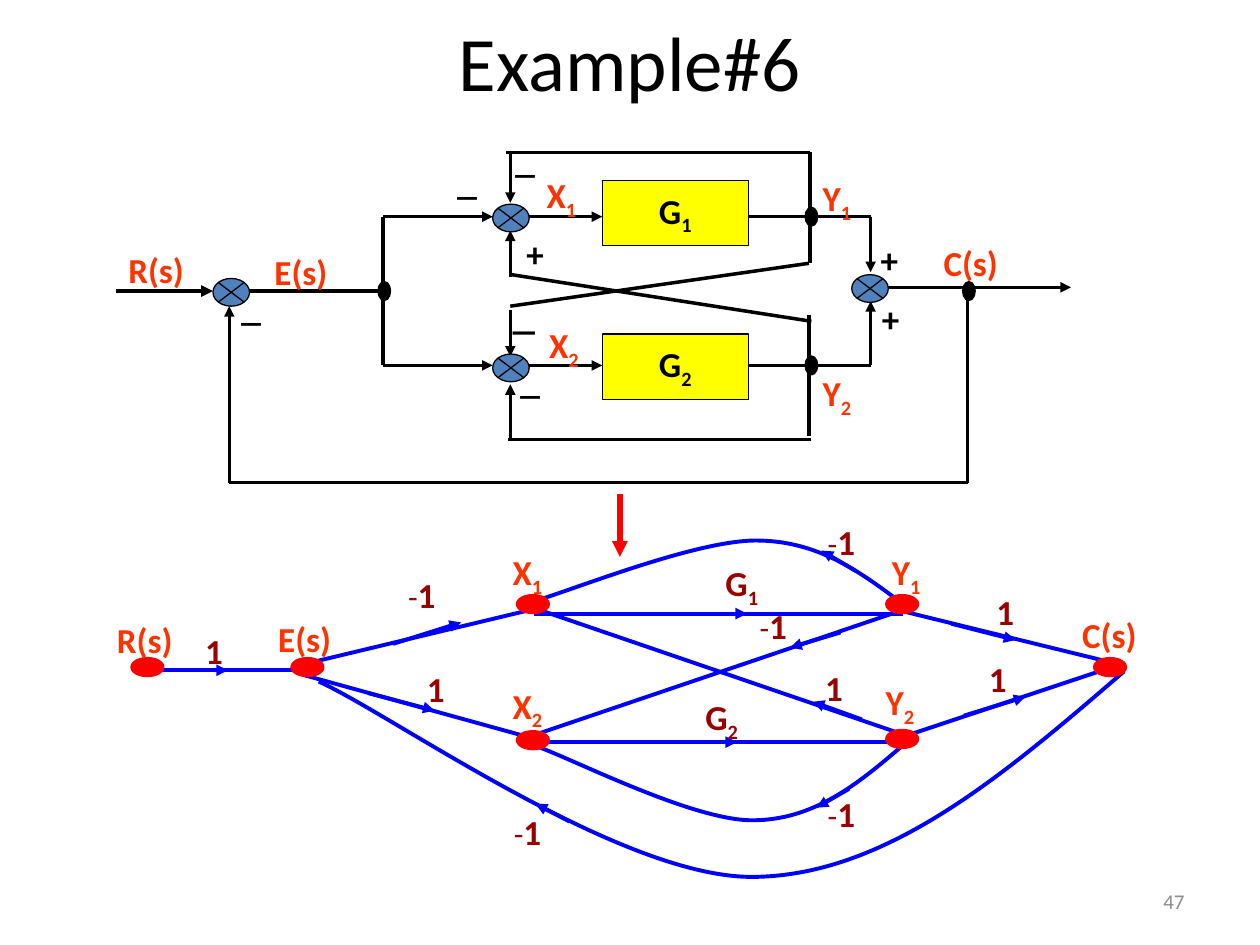
import dataclasses

import lxml.etree
import pptx
import pptx.dml.color
import pptx.enum.shapes
import pptx.enum.text
import pptx.oxml.ns
import pptx.util

SHAPE = pptx.enum.shapes.MSO_SHAPE
ALIGN = pptx.enum.text.PP_ALIGN
BLACK, BLUE, RED = "000000", "0000FF", "FF0000"
SIGNAL, GAIN = "FF3300", "990000"
qn = pptx.oxml.ns.qn


@dataclasses.dataclass
class Grid:
    """A box on the slide, in inches, divided into columns and rows."""
    slide: object
    left: float
    top: float
    width: float
    height: float
    columns: int
    rows: int

    def point(self, column, row):
        return (pptx.util.Inches(self.left + column * self.width / self.columns),
                pptx.util.Inches(self.top + row * self.height / self.rows))

    def size(self, columns, rows):
        return (pptx.util.Inches(columns * self.width / self.columns),
                pptx.util.Inches(rows * self.height / self.rows))


def color(value):
    return pptx.dml.color.RGBColor.from_string(value)


def sub(letter, index):
    return [(letter, {}), (index, {"baseline": "-25000"})]


def write(shape, runs, size=20, fill=BLACK, bold=True, align=ALIGN.LEFT, wrap=False, middle=False):
    frame = shape.text_frame
    frame.word_wrap = wrap
    anchor = pptx.enum.text.MSO_ANCHOR
    frame.vertical_anchor = anchor.MIDDLE if middle else anchor.TOP
    paragraph = frame.paragraphs[0]
    paragraph.alignment = align
    for text, change in [(runs, {})] if isinstance(runs, str) else runs:
        run = paragraph.add_run()
        run.text = text
        run.font.name = "Calibri"
        run.font.size = pptx.util.Pt(change.get("size", size))
        run.font.bold = change.get("bold", bold)
        run.font.color.rgb = color(fill)
        if "baseline" in change:
            run.font._element.set("baseline", change["baseline"])


def add_text(grid, runs, position, extent=(4.9, 4.3), **style):
    box = grid.slide.shapes.add_textbox(*grid.point(*position), *grid.size(*extent))
    write(box, runs, **style)


def add_line(grid, start, end, stroke=BLACK, width=2, arrow=False):
    line = grid.slide.shapes.add_connector(
        pptx.enum.shapes.MSO_CONNECTOR.STRAIGHT, *grid.point(*start), *grid.point(*end))
    line.line.color.rgb = color(stroke)
    line.line.width = pptx.util.Pt(width)
    if arrow:
        lxml.etree.SubElement(line.line._get_or_add_ln(), qn("a:tailEnd"), type="triangle")
    lxml.etree.SubElement(line._element.spPr, qn("a:effectLst"))


def add_shape(grid, kind, center, extent, fill, stroke=BLACK, width=0.75):
    corner = [middle - length / 2 for middle, length in zip(center, extent)]
    shape = grid.slide.shapes.add_shape(kind, *grid.point(*corner), *grid.size(*extent))
    shape.shadow.inherit = False
    shape.fill.solid()
    shape.fill.fore_color.rgb = color(fill)
    shape.line.color.rgb = color(stroke)
    shape.line.width = pptx.util.Pt(width)
    return shape


def add_curve(grid, points):
    """Draw Bezier segments: a start, then three points for each segment."""
    places = [grid.point(*point) for point in points]
    builder = grid.slide.shapes.build_freeform(*places[0])
    builder.add_line_segments(places[1:], close=False)
    curve = builder.convert_to_shape()
    outline = next(curve._element.iter(qn("a:path")))
    steps = outline.findall(qn("a:lnTo"))
    for first in range(0, len(steps), 3):
        bezier = lxml.etree.SubElement(outline, qn("a:cubicBezTo"))
        for step in steps[first:first + 3]:
            bezier.append(step[0])
            outline.remove(step)
    curve.shadow.inherit = False
    curve.fill.background()
    curve.line.color.rgb = color(BLUE)
    curve.line.width = pptx.util.Pt(2.25)


def block_diagram(grid):
    error, branch, adder, tap, output, pickoff = 9.2, 21.4, 31.5, 55.3, 60.1, 67.8
    block_left, block_right = 38.8, 50.4
    top, upper, main, lower, bottom, feedback = 0.1, 5.2, 11.1, 17, 22.9, 26.3
    result = 10.8

    # Wires
    add_line(grid, (0.2, main), (7.9, main), width=2.25, arrow=True)
    for start, end in [
        ((10.8, main), (branch, main)), ((branch, upper), (branch, lower)),
        ((55.2, 13), (55.2, 22.6)), ((55.4, bottom), (31.3, bottom)),
        ((tap, 8.9), (tap, top)), ((tap, top), (31.2, top)),
        ((31.6, 9.8), (55.4, 13.5)), ((55.2, 8.9), (adder, 12.3)),
        ((pickoff, result), (pickoff, feedback)), ((pickoff, feedback), (error, feedback)),
    ]:
        add_line(grid, start, end)
    for start, end in [
        ((output, upper), (output, 9.6)), ((output, lower), (output, 11.9)),
        ((61.5, result), (76, result)), ((error, feedback), (error, 12.3)),
        ((adder, bottom), (adder, 18.5)), ((adder, top), (adder, 4.1)),
        ((adder, 10), (adder, 6.3)), ((adder, 12.6), (adder, 16.3)),
    ]:
        add_line(grid, start, end, arrow=True)

    # The two forward rows with their blocks
    for row, index, middle, width in [(upper, "1", 4.9, 1.75), (lower, "2", 17.1, 2)]:
        add_line(grid, (branch, row), (30.1, row), width=width, arrow=True)
        add_line(grid, (33, row), (block_left, row), arrow=True)
        add_line(grid, (block_right, row), (output, row))
        block = add_shape(grid, SHAPE.RECTANGLE, ((block_left + block_right) / 2, middle),
                          (11.6, 5.2), "FFFF00")
        write(block, sub("G", index), align=ALIGN.CENTER, middle=True)

    # Summing junctions and pick-off points
    for center in [(9.35, 11.2), (31.55, 5.3), (31.55, 17.2), (60.05, 10.9)]:
        add_shape(grid, SHAPE.FLOWCHART_SUMMING_JUNCTION, center, (2.9, 2.2), "4F81BD")
    for center in [(55.4, upper), (67.9, 11.1), (21.5, main), (55.4, lower)]:
        add_shape(grid, SHAPE.OVAL, center, (1, 1.5), BLACK)

    # Signs
    for position in [(60, 11.1), (31.8, 6), (59.9, 6.4)]:
        add_text(grid, "+", position, (3.6, 4.3))
    for position, size in [((30.4, 12.4), 18), ((31, 17.7), 16), ((30.6, 0.2), 16),
                           ((8.9, 11.9), 16), ((26, 1.9), 16)]:
        add_text(grid, "－", position, (4.3, 3.7), size=size)

    # Signal names
    for name, position in [("C(s)", (64.9, 6.7)), ("R(s)", (0.2, 7.2)), ("E(s)", (11.8, 7.4))]:
        add_text(grid, name, position, (6.9, 4.3), fill=SIGNAL)
    for letter, index, position in [("Y", "2", (55.3, 17)), ("Y", "1", (55.3, 1.5)),
                                    ("X", "1", (33.4, 1.3)), ("X", "2", (33.6, 13.2))]:
        add_text(grid, sub(letter, index), position, fill=SIGNAL)


def signal_flow_graph(grid):
    minus_one = [("-", {"size": 18, "bold": False}), ("1", {})]

    # Straight branches: line, direction arrow, gain and its place
    for start, end, tail, head, gain, position in [
        ((3.8, 13.2), (16.5, 13.2), (7.6, 13.2), (10.1, 13.2), "1", (7.3, 9.5)),
        ((17, 12.5), (33.7, 8.5), (23.2, 11.1), (28.6, 9.4), minus_one, (23.4, 5)),
        ((16.2, 13.6), (34.3, 18.6), (21.2, 15), (26.5, 16.4), "1", (24.9, 12.5)),
        ((63.7, 8.4), (34.5, 18.3), (58.7, 10.2), (54.7, 11.4), minus_one, (51.3, 7.5)),
        ((63.6, 8.5), (80.3, 12.6), (67.5, 9.5), (72.6, 10.8), "1", (70.1, 6.4)),
        ((63.6, 18.5), (79.5, 13.2), (68.5, 16.8), (73.4, 15.3), "1", (69.5, 11.7)),
        ((34.4, 8.7), (63.7, 8.7), (46, 8.7), (51.3, 8.7), sub("G", "1"), (48.6, 4.1)),
        ((34.5, 18.9), (63.8, 18.9), (44.3, 18.9), (50.5, 18.9), sub("G", "2"), (47, 14.7)),
        ((63.7, 18.3), (34.5, 8.3), (60.4, 17.1), (56.5, 15.7), "1", (56.5, 12.4)),
    ]:
        add_line(grid, start, end, BLUE, 2.25)
        add_line(grid, tail, head, BLUE, 2.25, arrow=True)
        width = {"1": 3.4}.get(gain, 5.4) if isinstance(gain, str) else 5.4
        add_text(grid, gain, position, (width, 4.3), fill=GAIN, wrap=gain is minus_one)

    # Curved feedback branches, each with gain -1
    for points, tail, head, position in [
        ([(63.6, 7.9), (60.3, 5.4), (56.9, 2.9), (52, 2.9), (47, 2.9), (36.8, 7.1), (33.8, 7.9)],
         (59.9, 5.3), (57.2, 3.7), (56.7, 0.8)),
        ([(81.2, 13.3), (71.8, 21.4), (62.4, 29.5), (51.8, 29.6), (41.2, 29.7), (23.1, 16.7),
          (17.3, 14.1)], (37.2, 25.2), (34.5, 23.8), (31.8, 23.8)),
        ([(63.6, 19.2), (60.1, 22.2), (56.6, 25.1), (51.7, 25.1), (46.9, 25.1), (37.4, 20.2),
          (34.5, 19.2)], (59.4, 22.6), (56.8, 24.1), (56.7, 22.4)),
    ]:
        add_curve(grid, points)
        add_line(grid, tail, head, BLUE, 2.25, arrow=True)
        add_text(grid, minus_one, position, (7.2, 5), fill=GAIN, wrap=True)

    # Nodes with their names
    for center, name, position in [
        ((3.7, 12.95), "R(s)", (0.3, 8.6)), ((16.4, 12.95), "E(s)", (13.1, 8.5)),
        ((80.1, 12.95), "C(s)", (76.9, 8.2)),
        ((34.3, 7.95), sub("X", "1"), (31.7, 3.2)), ((34.3, 18.75), sub("X", "2"), (31.7, 13.8)),
        ((63.6, 18.65), sub("Y", "2"), (61.3, 13.5)), ((63.6, 7.95), sub("Y", "1"), (61.8, 3.2)),
    ]:
        add_shape(grid, SHAPE.OVAL, center, (2.4, 1.3), RED, RED, 2.25)
        width = 6.9 if isinstance(name, str) else 5.2
        add_text(grid, name, position, (width, 4.3), fill=SIGNAL)


def slide_frame(grid):
    """Title, page number and the arrow between the two diagrams."""
    add_line(grid, (49.2, 39.2), (49.2, 44.2), RED, 3, arrow=True)
    add_text(grid, "Example#6", (5, 0.5), (90, 8.7), size=44, bold=False,
             align=ALIGN.CENTER, wrap=True, middle=True)
    add_text(grid, "47", (71.7, 69.5), (23.3, 4), size=12, fill="8C8C8C", bold=False,
             align=ALIGN.RIGHT, wrap=True, middle=True)


def main():
    presentation = pptx.Presentation()
    presentation.slide_width = pptx.util.Inches(10)
    presentation.slide_height = pptx.util.Inches(7.5)
    slide = presentation.slides.add_slide(presentation.slide_layouts[6])
    block_diagram(Grid(slide, 0.9, 1.2, 7.6, 2.7, 76, 27))
    signal_flow_graph(Grid(slide, 0.8, 4, 8.4, 3, 84, 30))
    slide_frame(Grid(slide, 0, 0, 10, 7.5, 100, 75))
    presentation.save("out.pptx")


if __name__ == "__main__":
    main()
